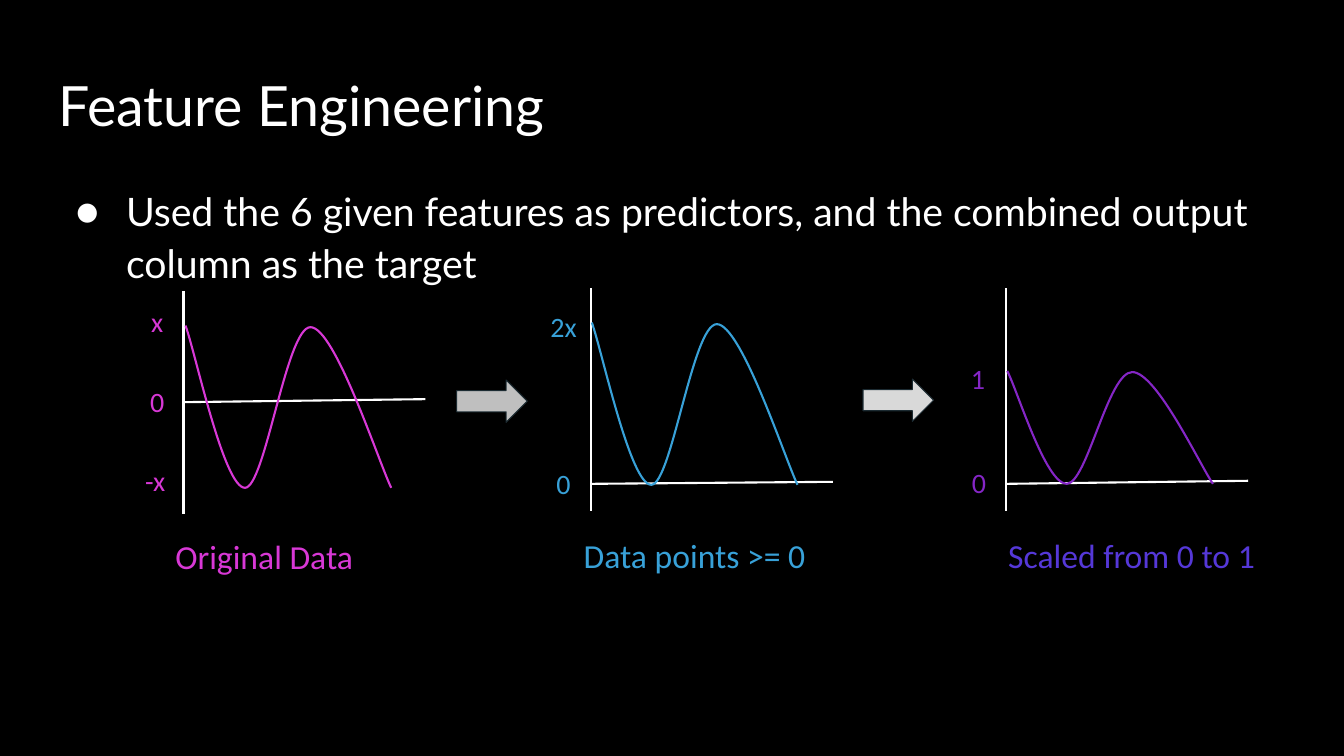
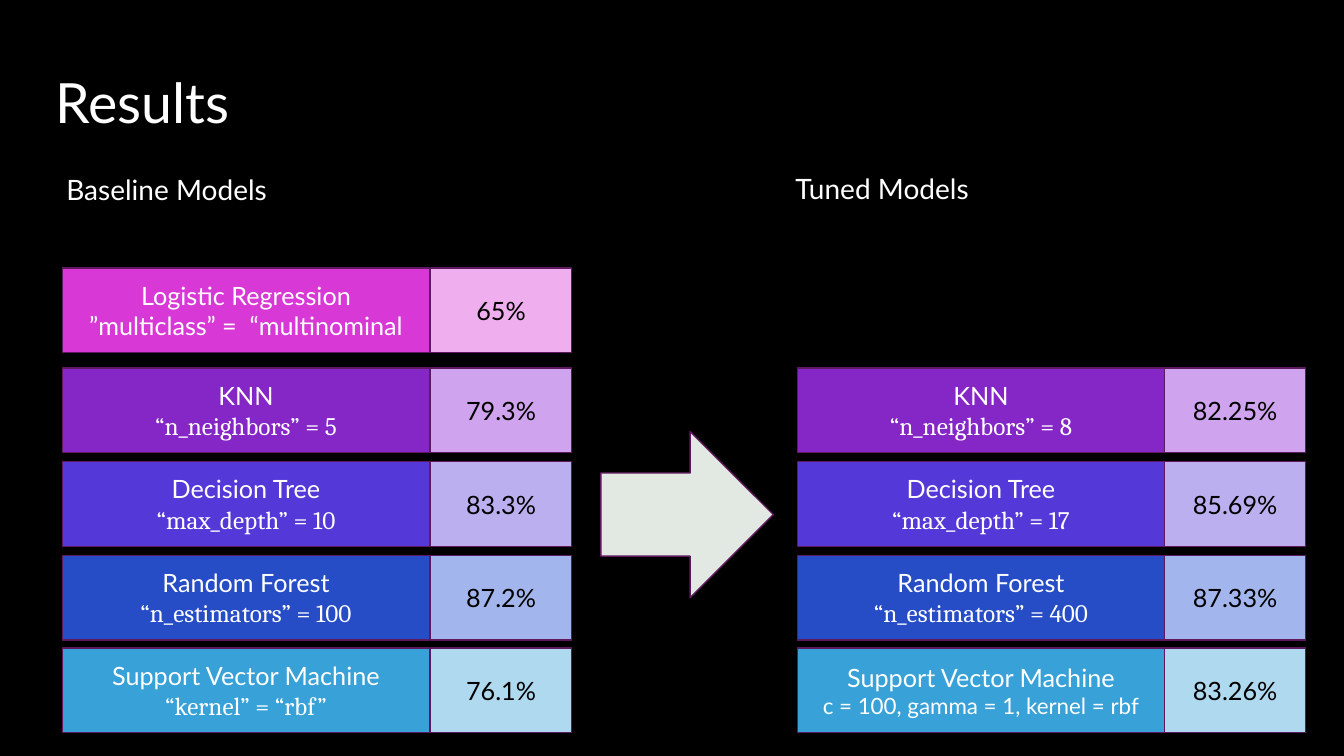
"""Build two slides: feature engineering plots and model results."""
import pptx
import pptx.dml.color
import pptx.enum.shapes
import pptx.enum.text
import pptx.oxml.ns
import pptx.util
from lxml import etree

Inches, Pt = pptx.util.Inches, pptx.util.Pt
MSO_SHAPE = pptx.enum.shapes.MSO_SHAPE
STRAIGHT = pptx.enum.shapes.MSO_CONNECTOR.STRAIGHT
PP_ALIGN = pptx.enum.text.PP_ALIGN
MSO_ANCHOR = pptx.enum.text.MSO_ANCHOR
qn = pptx.oxml.ns.qn

WHITE, BLACK = "FFFFFF", "000000"
PINK, PURPLE, VIOLET, NAVY, BLUE = "D838D6", "8526C6", "5538D8", "264CC6", "38A1D8"
EDGE, ARROW_EDGE = "5F195E", "1C2B32"


def paint(fill, color):
    """Make a shape, line, font or background fill solid."""
    fill.solid()
    fill.fore_color.rgb = pptx.dml.color.RGBColor.from_string(color)


def write(sp, lines, size, color=WHITE, font="Lato", align=PP_ALIGN.LEFT,
          anchor=MSO_ANCHOR.TOP, inset=None):
    """Fill a shape with styled paragraphs and return them."""
    tf = sp.text_frame
    tf.word_wrap = True
    tf.vertical_anchor = anchor
    if inset is not None:
        tf.margin_left = tf.margin_right = tf.margin_top = tf.margin_bottom = Inches(inset)
    tf.text = "\n".join(lines)
    for p in tf.paragraphs:
        p.alignment = align
        p.font.name, p.font.size = font, Pt(size)
        paint(p.font.fill, color)
    return tf.paragraphs


prs = pptx.Presentation()
prs.slide_width, prs.slide_height = Inches(13.33), Inches(7.5)

slides = []
for title, inset in (("Feature Engineering", 0.13), ("Results", 0.1)):
    s = prs.slides.add_slide(prs.slide_layouts[6])
    paint(s.background.fill, BLACK)
    sp = s.shapes.add_textbox(Inches(0.45), Inches(0.65), Inches(12.42), Inches(0.84))
    write(sp, [title], 39.6, inset=inset)[0].line_spacing = 0.9
    slides.append(s)
features, results = slides

sp = features.shapes.add_textbox(Inches(0.45), Inches(1.68), Inches(12.42), Inches(4.98))
p = write(sp, ["Used the 6 given features as predictors, and the combined output "
               "column as the target"], 28, inset=0.13)[0]
p.line_spacing = 1.1
pPr = p._p.get_or_add_pPr()
pPr.set("marL", str(Inches(0.67)))
pPr.set("indent", str(Inches(-0.5)))
for tag, name, value in (("a:buFont", "typeface", "Lato"), ("a:buChar", "char", "●")):
    pPr.find(qn("a:defRPr")).addprevious(etree.Element(qn(tag), {name: value}))

wave = [(0, 0), (0.1, 0.17), (0.38, 1), (0.59, 1), (0.79, 1), (1, 0.01),
        (1.24, 0.01), (1.48, 0.01), (1.91, 0.83), (2.04, 1)]

plots = [
    (1.82, 2.89, 3.99, 3.96, 1.84, 3.23, 1.61, PINK,
     [("x", 1.29, 2.89, 0.54), ("0", 1.29, 3.68, 0.54), ("-x", 1.27, 4.47, 0.54)],
     "Original Data", 1.61, 5.19, 2.5, PINK),
    (5.86, 2.86, 4.8, 4.78, 5.87, 3.2, 1.61, BLUE,
     [("2x", 5.24, 2.94, 0.7), ("0", 5.32, 4.5, 0.54)],
     "Data points >= 0", 5.66, 5.18, 2.9, BLUE),
    (9.98, 2.86, 4.8, 4.77, 9.99, 3.68, 1.12, PURPLE,
     [("1", 9.35, 3.46, 0.7), ("0", 9.44, 4.49, 0.54)],
     "Scaled from 0 to 1", 9.87, 5.18, 3.1, VIOLET),
]
for (x, top, zero, zero_end, wave_x, peak, height, color, labels,
     caption, cap_x, cap_y, cap_w, cap_color) in plots:
    for x2, y1, y2 in ((x, top, top + 2.21), (x + 2.4, zero, zero_end)):
        line = features.shapes.add_connector(
            STRAIGHT, Inches(x), Inches(y1), Inches(x2), Inches(y2))
        paint(line.line.fill, WHITE)
        line.line.width = Pt(1.5)
        etree.SubElement(line._element.spPr, qn("a:effectLst"))
    points = [(Inches(wave_x + dx), Inches(peak + dy * height)) for dx, dy in wave]
    builder = features.shapes.build_freeform(*points[0])
    builder.add_line_segments(points[1:], close=False)
    sp = builder.convert_to_shape()
    segments = list(sp._element.iter(qn("a:lnTo")))
    for i in range(0, len(segments), 3):
        bezier = etree.Element(qn("a:cubicBezTo"))
        segments[i].addprevious(bezier)
        for segment in segments[i:i + 3]:
            bezier.append(segment[0])
            segment.getparent().remove(segment)
    sp.shadow.inherit = False
    sp.fill.background()
    paint(sp.line.fill, color)
    sp.line.width = Pt(1.5)
    for text, label_x, y, w in labels:
        sp = features.shapes.add_textbox(Inches(label_x), Inches(y), Inches(w), Inches(0.59))
        write(sp, [text], 20, color, "Calibri", PP_ALIGN.CENTER, inset=0.13)
    sp = features.shapes.add_textbox(Inches(cap_x), Inches(cap_y), Inches(cap_w), Inches(0.59))
    write(sp, [caption], 24, cap_color, "Calibri", inset=0.13)

arrows = [
    (features, 4.53, 3.77, 0.7, 0.42, "BFBFBF", ARROW_EDGE, 0.75),
    (features, 8.56, 3.76, 0.7, 0.42, "D9D9D9", ARROW_EDGE, 0.75),
    (results, 5.96, 4.28, 1.71, 1.65, "E2E8E2", EDGE, 1),
]
for s, x, y, w, h, fill, edge, width in arrows:
    sp = s.shapes.add_shape(MSO_SHAPE.RIGHT_ARROW, Inches(x), Inches(y), Inches(w), Inches(h))
    sp.shadow.inherit = False
    paint(sp.fill, fill)
    paint(sp.line.fill, edge)
    sp.line.width = Pt(width)

for text, x, y in (("Baseline Models", 0.56, 1.66), ("Tuned Models", 7.79, 1.65)):
    sp = results.shapes.add_textbox(Inches(x), Inches(y), Inches(3.47), Inches(0.44))
    write(sp, [text], 20)

row_tops = [2.66, 3.65, 4.58, 5.51, 6.43]
models = [
    ("Logistic Regression", PINK, "EFAFEF",
     [("”multiclass” =  “multinominal", "65%", "Lato", 18)]),
    ("KNN", PURPLE, "CFA3ED",
     [("“n_neighbors” = 5", "79.3%", "Cambria", 18),
      ("“n_neighbors” = 8", "82.25%", "Cambria", 18)]),
    ("Decision Tree", VIOLET, "BBAFEF",
     [("“max_depth” = 10", "83.3%", "Cambria", 18),
      ("“max_depth” = 17", "85.69%", "Cambria", 18)]),
    ("Random Forest", NAVY, "A3B5ED",
     [("“n_estimators” = 100", "87.2%", "Cambria", 18),
      ("“n_estimators” = 400", "87.33%", "Cambria", 18)]),
    ("Support Vector Machine", BLUE, "AFD9EF",
     [("“kernel” = “rbf”", "76.1%", "Cambria", 18),
      ("c = 100, gamma = 1, kernel = rbf", "83.26%", "Lato", 16)]),
]
for y, (model, dark, light, runs) in zip(row_tops, models):
    for (x, score_x), (params, score, font, size) in zip(((0.62, 4.27), (7.91, 11.55)), runs):
        for left, w, fill, color, lines in ((x, 3.64, dark, WHITE, [model, params]),
                                            (score_x, 1.4, light, BLACK, [score])):
            sp = results.shapes.add_shape(
                MSO_SHAPE.RECTANGLE, Inches(left), Inches(y), Inches(w), Inches(0.84))
            sp.shadow.inherit = False
            paint(sp.fill, fill)
            paint(sp.line.fill, EDGE)
            sp.line.width = Pt(1)
            paragraphs = write(sp, lines, 18, color, align=PP_ALIGN.CENTER,
                               anchor=MSO_ANCHOR.MIDDLE)
            for p in paragraphs[1:]:
                p.font.name, p.font.size = font, Pt(size)

prs.save("out.pptx")
